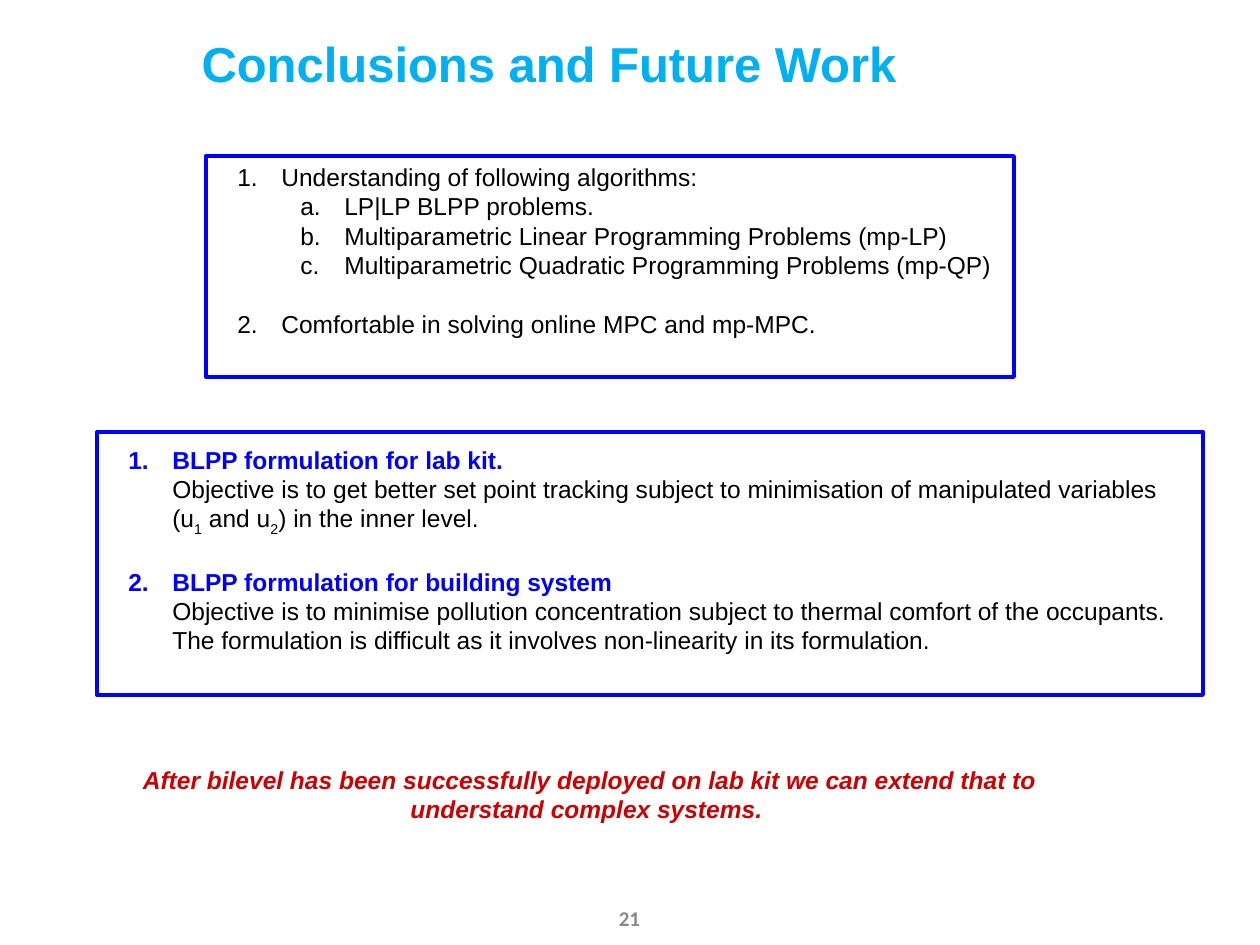
"""Build the conclusions and future work slide."""
from lxml.etree import SubElement
from pptx import Presentation
from pptx.dml.color import RGBColor
from pptx.enum.shapes import MSO_SHAPE as Shape
from pptx.enum.text import MSO_ANCHOR as Anchor, MSO_AUTO_SIZE as AutoSize, PP_ALIGN as Align
from pptx.oxml.ns import qn
from pptx.util import Pt

SCALE = 914400 / 126
BLACK, BLUE, CYAN, RED, GREY = "000000", "0000FF", "00B0F0", "CC0000", "888888"
INDENT, HANGING, GAP = 63, 44, 17

TITLE = "Conclusions and Future Work"
CLOSING = ("After bilevel has been successfully deployed on lab kit "
           "we can extend that to understand complex systems. ")
PAGE_NUMBER = "21"
LEARNED = [
    ("Understanding of following algorithms:", [
        "LP|LP BLPP problems.",
        "Multiparametric Linear Programming Problems (mp-LP)",
        "Multiparametric Quadratic Programming Problems (mp-QP)"]),
    ("Comfortable in solving online MPC and mp-MPC.", []),
]
PLANNED = [
    ("BLPP formulation for lab kit.", [
        ["Objective is to get better set point tracking subject to minimisation "
         "of manipulated variables (u", "1", " and u", "2", ") in the inner level."]]),
    ("BLPP formulation for building system", [
        ["Objective is to minimise pollution concentration subject to thermal "
         "comfort of the occupants."],
        ["The formulation is difficult as it involves non-linearity in its formulation."]]),
]


def px(length):
    return round(length * SCALE)


def color(value):
    return RGBColor.from_string(value)


def add_span(para, text, size=14, font="Arial", fill=BLACK, bold=False, italic=False,
             subscript=False):
    span = para.add_run()
    span.text = text
    span.font.size, span.font.name = Pt(size), font
    span.font.bold, span.font.italic = bold, italic
    span.font.color.rgb = color(fill)
    if subscript:
        span.font._element.set("baseline", "-25000")


def next_para(frame):
    first = frame.paragraphs[0]
    return first if not first.runs else frame.add_paragraph()


def set_list(para, level=0, number=None, scheme="arabicPeriod", fill=BLACK, gap=0):
    para.level, para.alignment = level, Align.LEFT
    para.space_before = Pt(gap)
    props = para._p.get_or_add_pPr()
    props.set("marL", str(px(INDENT * (level + 1))))
    props.set("indent", str(px(-HANGING) if number else 0))
    if number:
        SubElement(SubElement(props, qn("a:buClr")), qn("a:srgbClr"), val=fill)
        SubElement(props, qn("a:buAutoNum"), type=scheme, startAt=str(number))
    else:
        SubElement(props, qn("a:buNone"))


def place(box, left, top, width, height, inset=6, anchor=Anchor.TOP):
    box.left, box.top, box.width, box.height = map(px, (left, top, width, height))
    frame = box.text_frame
    frame.word_wrap, frame.auto_size, frame.vertical_anchor = True, AutoSize.NONE, anchor
    frame.margin_left = frame.margin_right = px(12.6)
    frame.margin_top = frame.margin_bottom = px(inset)
    return frame


def add_panel(page, *bounds, inset):
    box = page.shapes.add_shape(Shape.RECTANGLE, 0, 0, 0, 0)
    box.shadow.inherit = False
    box.fill.background()
    box.line.color.rgb, box.line.width = color(BLUE), Pt(2.25)
    return place(box, *bounds, inset=inset)


def add_heading(frame, number, text, fill, bold):
    para = next_para(frame)
    set_list(para, number=number, fill=fill, gap=GAP if number > 1 else 0)
    add_span(para, text, fill=fill, bold=bold)


def centred(frame, text, **style):
    para = frame.paragraphs[0]
    para.alignment = Align.CENTER
    add_span(para, text, bold=True, **style)


def main():
    deck = Presentation()
    deck.slide_width, deck.slide_height = px(1260), px(945)
    page = deck.slides.add_slide(deck.slide_layouts[5])
    centred(place(page.shapes.title, 49, 28, 1000, 72), TITLE, size=28, fill=CYAN)

    learned = add_panel(page, 206, 156, 808, 221, inset=6)
    for number, (heading, topics) in enumerate(LEARNED, 1):
        add_heading(learned, number, heading, BLACK, False)
        for topic in topics:
            para = next_para(learned)
            set_list(para, level=1, number=1, scheme="alphaLcPeriod")
            add_span(para, topic)

    planned = add_panel(page, 97, 432, 1106, 263, inset=12.6)
    for number, (heading, details) in enumerate(PLANNED, 1):
        add_heading(planned, number, heading, BLUE, True)
        for pieces in details:
            para = next_para(planned)
            set_list(para)
            for piece in pieces:
                add_span(para, piece, subscript=piece.isdigit())

    closing = page.shapes.add_textbox(0, 0, 0, 0)
    centred(place(closing, 103, 752, 974, 84, inset=12.6), CLOSING, fill=RED, italic=True)
    number_box = page.shapes.add_textbox(0, 0, 0, 0)
    centred(place(number_box, 586, 893, 87, 50, anchor=Anchor.MIDDLE), PAGE_NUMBER,
            size=12, font="Calibri", fill=GREY)
    deck.save("out.pptx")


if __name__ == "__main__":
    main()
